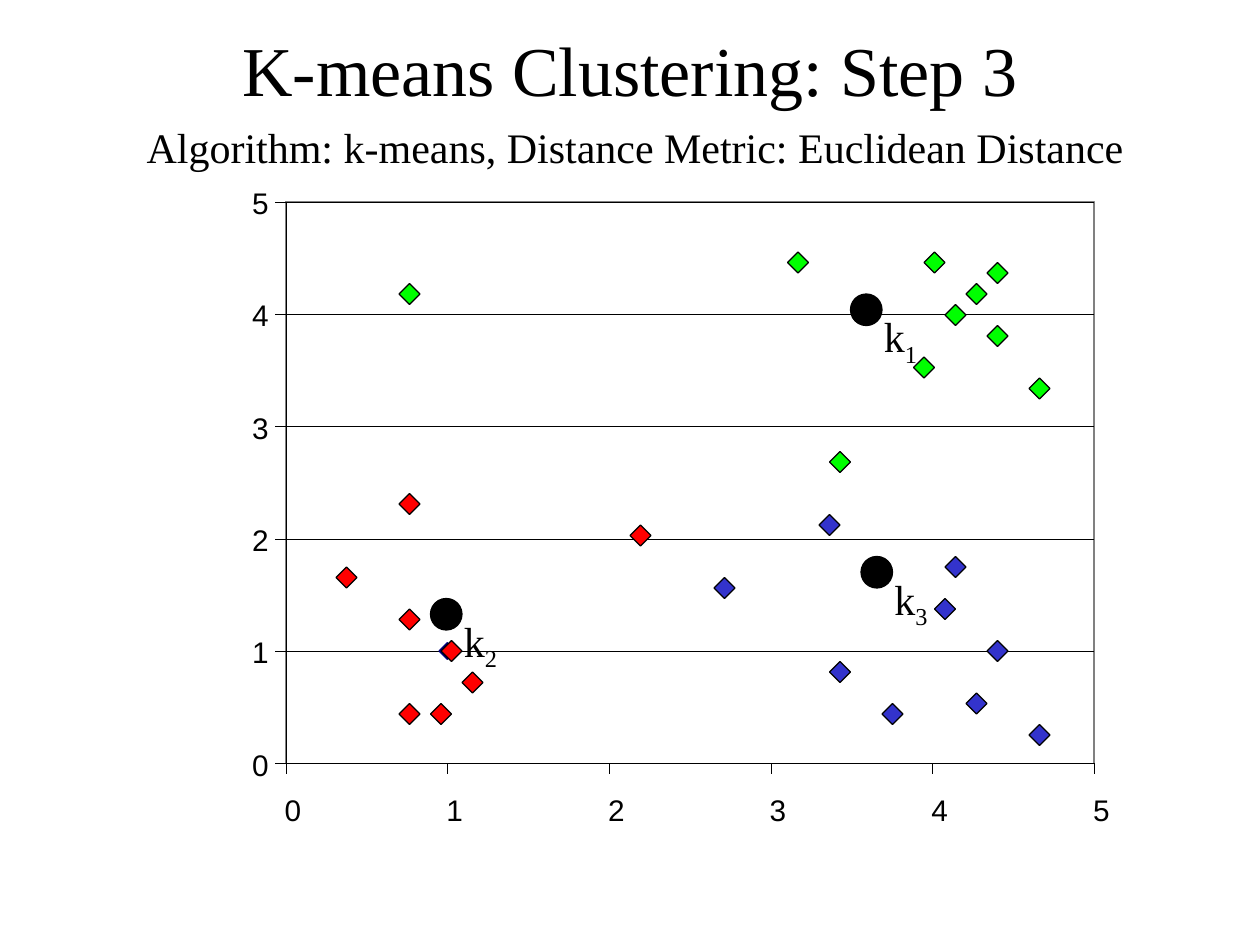
from lxml.etree import SubElement
from pptx import Presentation
from pptx.dml.color import RGBColor
from pptx.enum.shapes import MSO_CONNECTOR, MSO_SHAPE
from pptx.enum.text import MSO_ANCHOR, MSO_AUTO_SIZE, PP_ALIGN
from pptx.oxml.ns import qn
from pptx.util import Inches, Pt

prs = Presentation()
prs.slide_width, prs.slide_height = Inches(10), Inches(7.5)
s = prs.slides.add_slide(prs.slide_layouts[5])
CELL = prs.slide_width / 120
SERIF, SANS = "Times New Roman", "Arial"
color = RGBColor.from_string


def add_mark(parent, kind, box, fill=None, line=None, width=0.75):
    sp = parent.add_shape(kind, *[int(v * CELL) for v in box])
    sp.shadow.inherit = False
    if fill:
        sp.fill.solid()
        sp.fill.fore_color.rgb = color(fill)
    else:
        sp.fill.background()
    if line:
        sp.line.color.rgb = color(line)
        sp.line.width = Pt(width)
    else:
        sp.line.fill.background()


def add_text(parent, box, words, size, font, align=PP_ALIGN.CENTER, wrap=False, inset=True):
    tf = parent.add_textbox(*[int(v * CELL) for v in box]).text_frame
    tf.word_wrap = wrap
    tf.auto_size = MSO_AUTO_SIZE.SHAPE_TO_FIT_TEXT
    if not inset:
        tf.margin_left = tf.margin_right = tf.margin_top = tf.margin_bottom = 0
    p = tf.paragraphs[0]
    p.alignment = align
    for word in words:
        r = p.add_run()
        r.text = word
        r.font.size, r.font.name = Pt(size), font
        r.font.color.rgb = color("000000")
    return p


title = s.shapes.title
title.left, title.top, title.width, title.height = [int(v * CELL) for v in (9, 3, 102, 7)]
tf = title.text_frame
tf.auto_size = MSO_AUTO_SIZE.NONE
tf.vertical_anchor = MSO_ANCHOR.MIDDLE
p = tf.paragraphs[0]
p.alignment = PP_ALIGN.CENTER
r = p.add_run()
r.text = "K-means Clustering: Step 3"
r.font.size, r.font.name = Pt(40), SERIF
r.font.color.rgb = color("000000")

add_text(s.shapes, (11.5, 11, 98, 6),
         ["Algorithm: k-means, Distance Metric: Euclidean Distance"], 24, SERIF)

left, top, width, height = plot = (27.2, 19.2, 77, 53.5)
right, bottom = left + width, top + height
xs = [left + width * i / 5 for i in range(6)]
ys = [bottom - height * i / 5 for i in range(6)]

add_mark(s.shapes, MSO_SHAPE.RECTANGLE, plot, fill="FFFFFF")
lines = [(left, y, right, y) for y in ys]
lines += [(left, top, left, bottom)]
lines += [(left - 1, y, left, y) for y in ys]
lines += [(x, bottom + 1, x, bottom) for x in xs]
add_mark(s.shapes, MSO_SHAPE.RECTANGLE, plot, line="808080", width=0.62)
for ends in lines:
    c = s.shapes.add_connector(MSO_CONNECTOR.STRAIGHT, *[int(v * CELL) for v in ends])
    c.line.color.rgb = color("000000")
    c.line.width = Pt(0.05)
    SubElement(c._element.spPr, qn("a:effectLst"))

for i, (x, y) in enumerate(zip(xs, ys)):
    for spot in [(24, y - 1.6), (x - 0.1, 75.4)]:
        add_text(s.shapes, (*spot, 1.6, 3.4), [str(i)], 17, SANS, inset=False)

add_mark(s.shapes, MSO_SHAPE.DIAMOND, (41.8, 61.2, 1.6, 1.6), "000080", "000080", 0.62)

centroids = [("1", 81, 28), ("2", 41, 57), ("3", 82, 53)]
for number, x, y in centroids:
    group = s.shapes.add_group_shape().shapes
    add_mark(group, MSO_SHAPE.OVAL, (x, y, 3, 3), "000000", "000000")
    p = add_text(group, (x + 2, y + 1, 7, 6.7), ["k", number], 24, SERIF, PP_ALIGN.LEFT, wrap=True)
    p.space_before = Pt(15)
    p.runs[1].font._element.set("baseline", "-25000")

clusters = {
    "FF0000": [(42, 61), (44, 64), (41, 67), (38, 58), (38, 47), (38, 67), (32, 54), (60, 50)],
    "00FF00": [(38, 27), (88, 24), (94, 25), (92, 27), (90, 29), (94, 31), (98, 36), (75, 24),
               (79, 43), (87, 34)],
    "3333CC": [(79, 63), (84, 67), (89, 57), (78, 49), (68, 55), (94, 61), (92, 66), (90, 53),
               (98, 69)],
}
for fill, points in clusters.items():
    for x, y in points:
        add_mark(s.shapes, MSO_SHAPE.DIAMOND, (x, y, 2, 2), fill, "000000")

prs.save("out.pptx")
